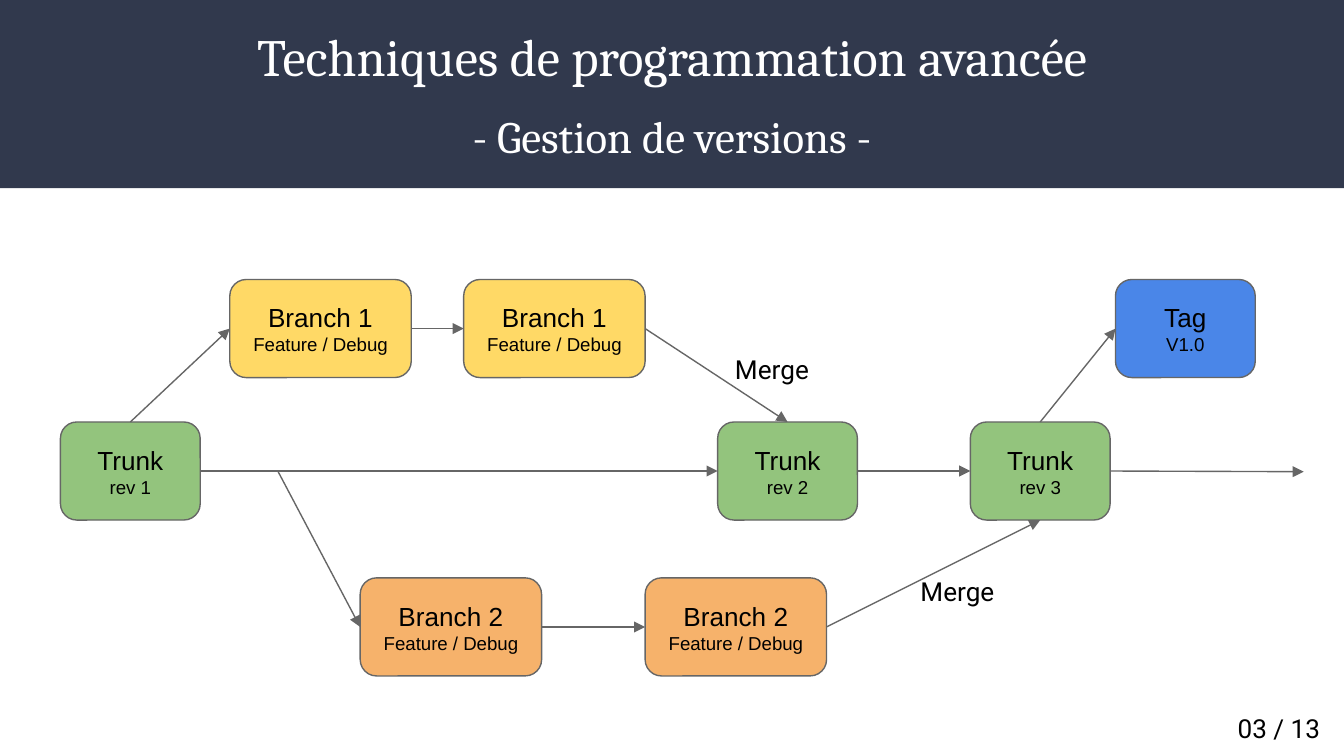
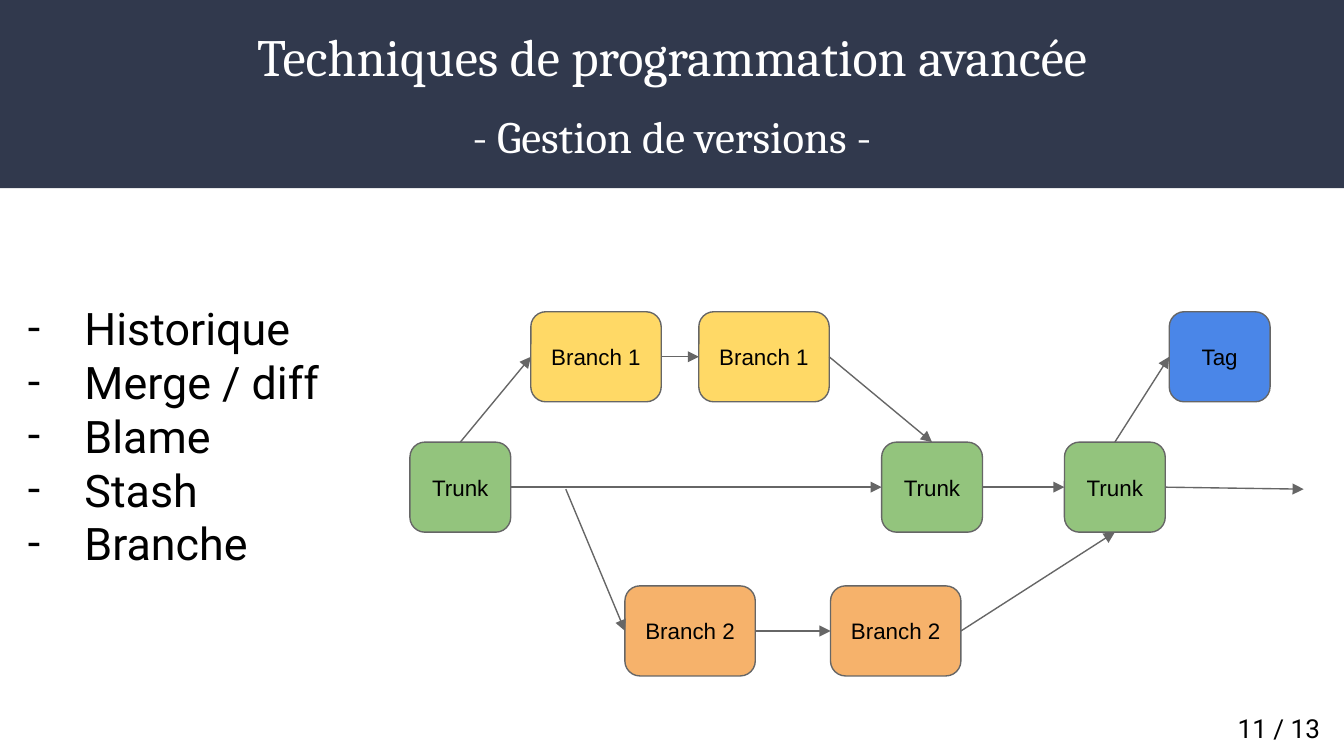
from dataclasses import dataclass

from lxml.etree import SubElement
from pptx import Presentation
from pptx.dml.color import RGBColor
from pptx.enum.shapes import MSO_CONNECTOR as Connector, MSO_SHAPE as Shape
from pptx.enum.text import MSO_ANCHOR as Anchor, MSO_AUTO_SIZE as AutoSize, PP_ALIGN as Align
from pptx.oxml.ns import qn
from pptx.util import Inches, Pt

NAVY = RGBColor(0x31, 0x39, 0x4D)
WHITE = RGBColor(0xFF, 0xFF, 0xFF)
BLACK = RGBColor(0x00, 0x00, 0x00)
GREY = RGBColor(0x66, 0x66, 0x66)
GREEN = RGBColor(0x93, 0xC4, 0x7D)
YELLOW = RGBColor(0xFF, 0xD9, 0x66)
ORANGE = RGBColor(0xF6, 0xB2, 0x6B)
BLUE = RGBColor(0x4A, 0x86, 0xE8)

TITLE_FONT, NODE_FONT, BODY_FONT = "Cambria", "Arial", "Roboto"
SLIDE_WIDTH = Inches(10)
SLIDE_HEIGHT = SLIDE_WIDTH * 9 // 16
MARGIN = Inches(0.1)
PAGE_COUNT = 13
TOPICS = ["Historique", "Merge / diff", "Blame", "Stash", "Branche"]

# Connection sites of a rounded rectangle
TOP, LEFT, BOTTOM, RIGHT = range(4)

# Node key: label, detail, colour, row
NODES = {
    "trunk 1": ("Trunk", "rev 1", GREEN, 1),
    "first 1": ("Branch 1", "Feature / Debug", YELLOW, 0),
    "last 1": ("Branch 1", "Feature / Debug", YELLOW, 0),
    "first 2": ("Branch 2", "Feature / Debug", ORANGE, 2),
    "last 2": ("Branch 2", "Feature / Debug", ORANGE, 2),
    "trunk 2": ("Trunk", "rev 2", GREEN, 1),
    "trunk 3": ("Trunk", "rev 3", GREEN, 1),
    "tag": ("Tag", "V1.0", BLUE, 0),
}
LINKS = [
    ("trunk 1", RIGHT, "trunk 2", LEFT),
    ("trunk 1", TOP, "first 1", LEFT),
    ("first 1", RIGHT, "last 1", LEFT),
    ("last 1", RIGHT, "trunk 2", TOP),
    ("trunk 2", RIGHT, "trunk 3", LEFT),
    ("first 2", RIGHT, "last 2", LEFT),
    ("last 2", RIGHT, "trunk 3", BOTTOM),
    ("trunk 3", TOP, "tag", LEFT),
]


@dataclass
class GraphLayout:
    """Measures of one revision graph, in inches; lefts follow the order of NODES."""
    lefts: tuple
    rows: tuple
    height: float
    trunk_width: float
    branch_width: float
    fork: tuple
    end: tuple
    label_size: int
    detailed: bool


DETAILED_GRAPH = GraphLayout(
    lefts=(0.45, 1.71, 3.45, 2.68, 4.8, 5.34, 7.22, 8.3), rows=(2.08, 3.14, 4.3),
    height=0.73, trunk_width=1.04, branch_width=1.35,
    fork=(2.07, 3.51), end=(9.7, 3.51), label_size=14, detailed=True)
COMPACT_GRAPH = GraphLayout(
    lefts=(3.05, 3.95, 5.2, 4.65, 6.18, 6.56, 7.92, 8.7), rows=(2.32, 3.29, 4.36),
    height=0.67, trunk_width=0.75, branch_width=0.97,
    fork=(4.21, 3.64), end=(9.7, 3.64), label_size=12, detailed=False)


def set_frame(frame, anchor=Anchor.TOP):
    frame.word_wrap = True
    frame.auto_size = AutoSize.NONE
    frame.vertical_anchor = anchor
    frame.margin_left = frame.margin_right = MARGIN
    frame.margin_top = frame.margin_bottom = MARGIN


def style(para, font, size, color, align=Align.LEFT):
    para.alignment = align
    for span in para.runs:
        span.font.name = font
        span.font.size = Pt(size)
        span.font.color.rgb = color


def add_box(page, kind, left, top, width, height, fill):
    box = page.shapes.add_shape(kind, left, top, width, height)
    box.shadow.inherit = False
    box.fill.solid()
    box.fill.fore_color.rgb = fill
    return box


def add_text(page, left, top, width, height, text, size):
    box = page.shapes.add_textbox(Inches(left), Inches(top), Inches(width), Inches(height))
    set_frame(box.text_frame)
    box.text_frame.text = text
    for para in box.text_frame.paragraphs:
        style(para, BODY_FONT, size, BLACK)
    return box


def add_node(page, left, top, width, height, fill, lines, size):
    box = add_box(page, Shape.ROUNDED_RECTANGLE, Inches(left), Inches(top),
                  Inches(width), Inches(height), fill)
    box.line.color.rgb = GREY
    box.line.width = Pt(0.75)
    set_frame(box.text_frame, Anchor.MIDDLE)
    box.text_frame.text = "\n".join(lines)
    for para, points in zip(box.text_frame.paragraphs, (size, 10)):
        style(para, NODE_FONT, points, BLACK, Align.CENTER)
    return box


def add_arrow(page, start, end):
    """Each end is a (node, site) pair or an (x, y) point in inches."""
    arrow = page.shapes.add_connector(Connector.STRAIGHT, 0, 0, 0, 0)
    if hasattr(start[0], "shape_id"):
        arrow.begin_connect(*start)
    else:
        arrow.begin_x, arrow.begin_y = map(Inches, start)
    if hasattr(end[0], "shape_id"):
        arrow.end_connect(*end)
    else:
        arrow.end_x, arrow.end_y = map(Inches, end)
    arrow.line.color.rgb = GREY
    arrow.line.width = Pt(0.75)
    SubElement(arrow.line._get_or_add_ln(), qn("a:tailEnd"), type="triangle")
    SubElement(arrow._element.spPr, qn("a:effectLst"))


def add_graph(page, layout):
    boxes = {}
    for left, (key, (label, detail, fill, row)) in zip(layout.lefts, NODES.items()):
        width = layout.branch_width if label.startswith("Branch") else layout.trunk_width
        lines = [label, detail] if layout.detailed else [label]
        boxes[key] = add_node(page, left, layout.rows[row], width, layout.height,
                              fill, lines, layout.label_size)
    for source, source_site, target, target_site in LINKS:
        add_arrow(page, (boxes[source], source_site), (boxes[target], target_site))
    add_arrow(page, layout.fork, (boxes["first 2"], LEFT))
    add_arrow(page, (boxes["trunk 3"], RIGHT), layout.end)


def add_topics(page):
    box = add_text(page, 0.03, 2.14, 8.89, 3.15, "\n".join(TOPICS), 24)
    for para in box.text_frame.paragraphs:
        props = para._p.get_or_add_pPr()
        props.set("marL", str(Inches(0.5)))
        props.set("indent", str(Inches(-0.42)))
        color = SubElement(props, qn("a:buClr"))
        SubElement(color, qn("a:srgbClr"), val=str(BLACK))
        SubElement(props, qn("a:buFont"), typeface=BODY_FONT)
        SubElement(props, qn("a:buChar"), char="-")


def add_band_to_layout(page):
    """Put the title band behind everything on the layout that the pages share."""
    band = add_box(page, Shape.RECTANGLE, 0, 0, SLIDE_WIDTH, Inches(1.4), NAVY)
    band.line.fill.background()
    page.slide_layout.shapes._spTree.insert(2, band._element)


def add_page(deck, number):
    page = deck.slides.add_slide(deck.slide_layouts[5])
    title = page.shapes.title
    title.left, title.top, title.width, title.height = 0, 0, SLIDE_WIDTH, Inches(1.39)
    set_frame(title.text_frame, Anchor.MIDDLE)
    title.text_frame.text = "Techniques de programmation avancée\n- Gestion de versions -"
    heading, subtitle = title.text_frame.paragraphs
    style(heading, TITLE_FONT, 28, WHITE, Align.CENTER)
    style(subtitle, TITLE_FONT, 24, WHITE, Align.CENTER)
    heading.space_before = Pt(0)
    subtitle.space_before = Pt(12)
    add_text(page, 9.11, 5.2, 0.89, 0.42, f"{number:02d} / {PAGE_COUNT}", 14)
    return page


def main():
    deck = Presentation()
    deck.slide_width, deck.slide_height = SLIDE_WIDTH, SLIDE_HEIGHT

    branching = add_page(deck, 3)
    add_band_to_layout(branching)
    add_graph(branching, DETAILED_GRAPH)
    for left, top in ((5.37, 2.53), (6.75, 4.18)):
        add_text(branching, left, top, 0.78, 0.36, "Merge", 14)

    summary = add_page(deck, 11)
    add_topics(summary)
    add_graph(summary, COMPACT_GRAPH)

    deck.save("out.pptx")


if __name__ == "__main__":
    main()
